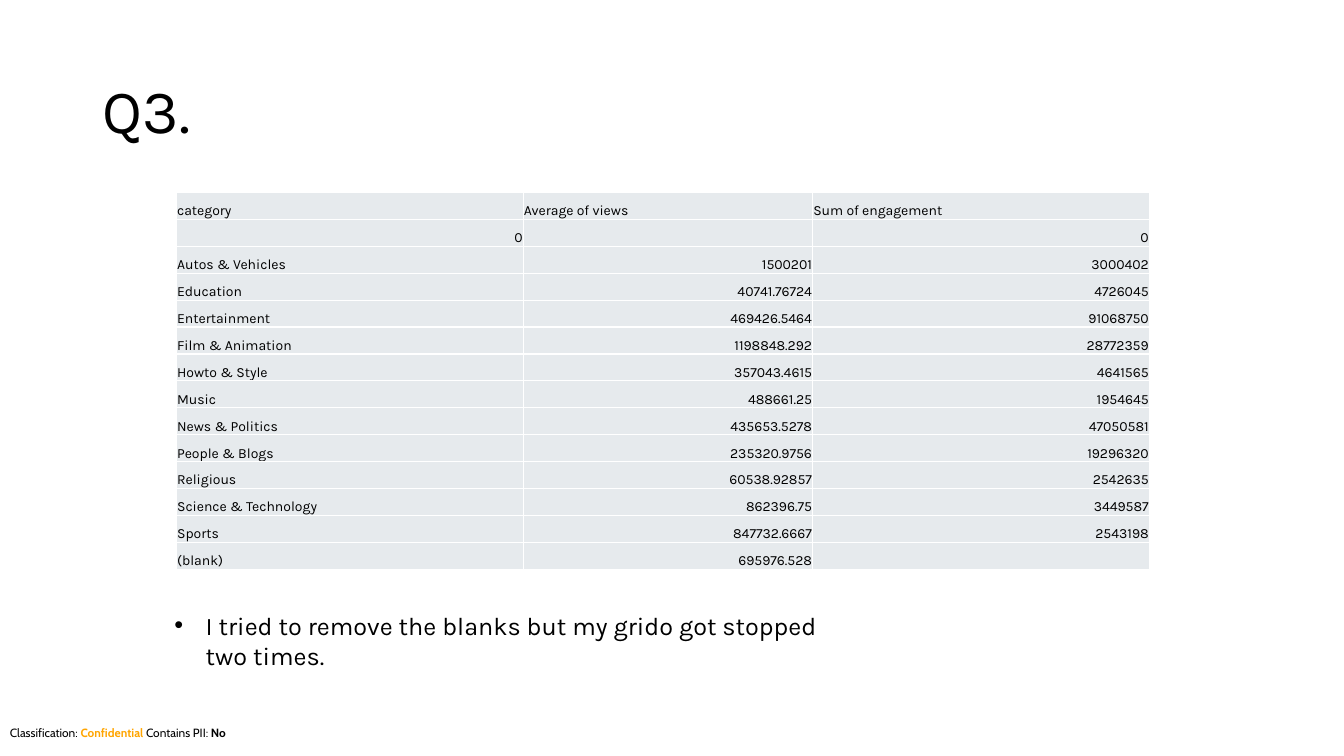
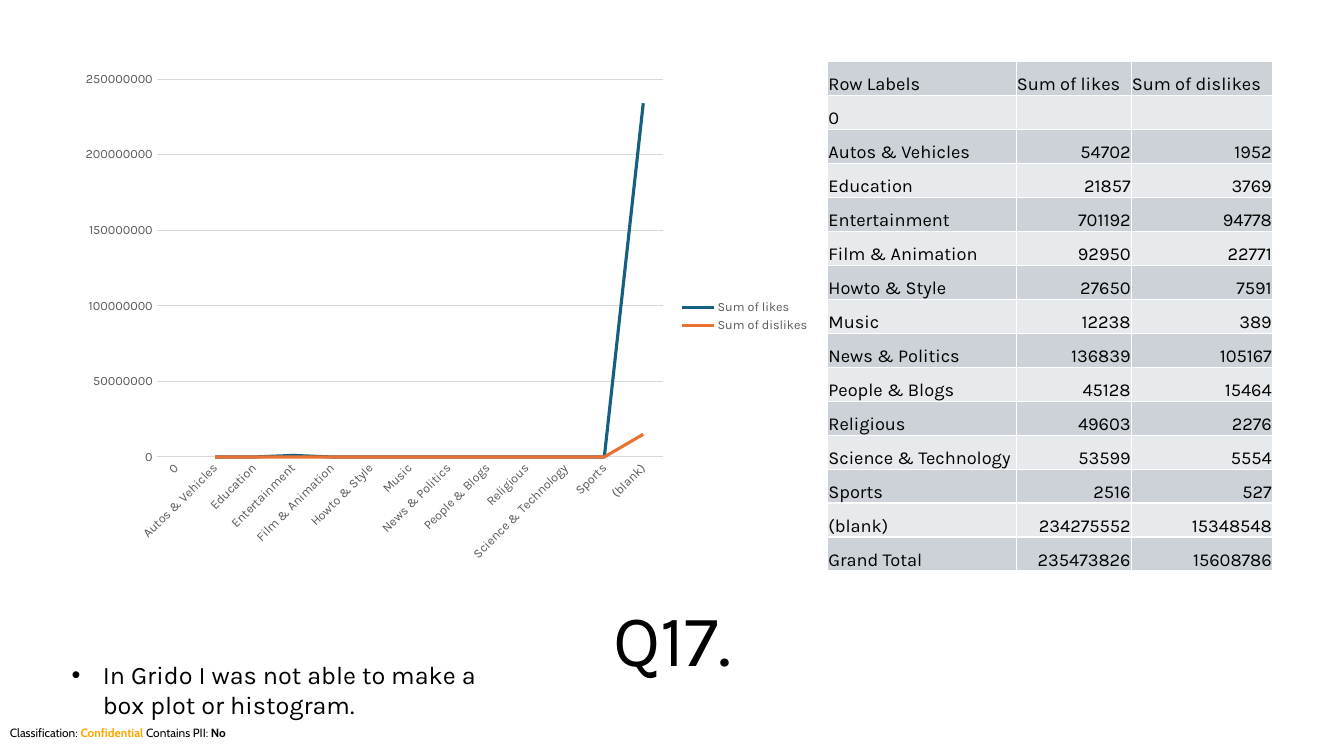
import pptx
import pptx.chart.data
import pptx.dml.color
import pptx.enum.chart
import pptx.enum.text
import pptx.oxml.ns
import pptx.util
from lxml import etree

Inches, Pt = pptx.util.Inches, pptx.util.Pt
ALIGN = pptx.enum.text.PP_ALIGN
ANCHOR = pptx.enum.text.MSO_ANCHOR
FIT = pptx.enum.text.MSO_AUTO_SIZE
COLORS = {
    "ink": "000000", "alert": "FFA500", "white": "FFFFFF",
    "light": "E6EAED", "dark": "CCD2D8",
    "label": "595959", "grid": "D9D9D9",
    "likes": "156082", "hates": "E97132",
}
FONT, FOOT_FONT = "Karla", "Cabin"

# Blank cells are None; text goes left and numbers go right
VIEWS = [
    ("category", "Average of views", "Sum of engagement"),
    (0, None, 0),
    ("Autos & Vehicles", 1500201, 3000402),
    ("Education", 40741.76724, 4726045),
    ("Entertainment", 469426.5464, 91068750),
    ("Film & Animation", 1198848.292, 28772359),
    ("Howto & Style", 357043.4615, 4641565),
    ("Music", 488661.25, 1954645),
    ("News & Politics", 435653.5278, 47050581),
    ("People & Blogs", 235320.9756, 19296320),
    ("Religious", 60538.92857, 2542635),
    ("Science & Technology", 862396.75, 3449587),
    ("Sports", 847732.6667, 2543198),
    ("(blank)", 695976.528, None),
]
LIKES = [
    ("Row Labels", "Sum of likes", "Sum of dislikes"),
    ("0", None, None),
    ("Autos & Vehicles", 54702, 1952),
    ("Education", 21857, 3769),
    ("Entertainment", 701192, 94778),
    ("Film & Animation", 92950, 22771),
    ("Howto & Style", 27650, 7591),
    ("Music", 12238, 389),
    ("News & Politics", 136839, 105167),
    ("People & Blogs", 45128, 15464),
    ("Religious", 49603, 2276),
    ("Science & Technology", 53599, 5554),
    ("Sports", 2516, 527),
    ("(blank)", 234275552, 15348548),
    ("Grand Total", 235473826, 15608786),
]


def put(item, **values):
    for name, value in values.items():
        setattr(item, name, value)


def place(shape, box):
    names = ("left", "top", "width", "height")
    put(shape, **dict(zip(names, map(Inches, box))))


def tint(color, name):
    color.rgb = pptx.dml.color.RGBColor.from_string(COLORS[name])


def style(font, size, color="ink", name=FONT, bold=False):
    put(font, size=Pt(size), name=name, bold=bold)
    tint(font.color, color)


def write(para, text, size, **look):
    run = para.add_run()
    run.text = text
    style(run.font, size, **look)


def node(parent, tag, **attrs):
    return etree.SubElement(parent, pptx.oxml.ns.qn(tag), attrs)


# Classification footer
def add_foot(slide):
    box = slide.shapes.add_textbox(*map(Inches, (0, 7.15, 13.33, 0.24)))
    put(box.text_frame, word_wrap=True, auto_size=FIT.SHAPE_TO_FIT_TEXT)
    para = box.text_frame.paragraphs[0]
    parts = [
        ("Classification: ", "ink", False), ("Confidential", "alert", True),
        (" Contains PII: ", "ink", False), ("No", "ink", True),
    ]
    for text, color, bold in parts:
        write(para, text, 8.5, color=color, name=FOOT_FONT, bold=bold)


# New slide with the footer
def add_slide(deck):
    slide = deck.slides.add_slide(deck.slide_layouts[1])
    add_foot(slide)
    return slide


def add_title(slide, text, box, size, align=ALIGN.LEFT):
    title = slide.shapes.title
    place(title, box)
    put(title.text_frame, vertical_anchor=ANCHOR.MIDDLE, auto_size=FIT.NONE)
    para = title.text_frame.paragraphs[0]
    put(para, alignment=align, line_spacing=0.9)
    write(para, text, size)


# Bulleted remark in the body placeholder
def add_note(slide, text, box):
    body = slide.placeholders[1]
    place(body, box)
    put(body.text_frame, word_wrap=True, auto_size=FIT.SHAPE_TO_FIT_TEXT)
    para = body.text_frame.paragraphs[0]
    para.space_before = Pt(0)
    props = para._p.get_or_add_pPr()
    props.set("marL", str(Inches(0.31)))
    props.set("indent", str(Inches(-0.31)))
    node(props, "a:buFont", typeface="Arial")
    node(props, "a:buChar", char="•")
    write(para, text, 18)


def add_edges(cell):
    props = cell._tc.get_or_add_tcPr()
    for spot, side in enumerate(("a:lnL", "a:lnR", "a:lnT", "a:lnB")):
        line = etree.Element(pptx.oxml.ns.qn(side), w=str(Pt(1)))
        fill = node(line, "a:solidFill")
        node(fill, "a:srgbClr", val=COLORS["white"])
        props.insert(spot, line)


def fill_cell(cell, value, size, color):
    cell.fill.solid()
    tint(cell.fill.fore_color, color)
    add_edges(cell)
    edge = Pt(0.5)
    put(cell, vertical_anchor=ANCHOR.BOTTOM, margin_left=edge,
        margin_right=edge, margin_top=edge, margin_bottom=0)
    para = cell.text_frame.paragraphs[0]
    if value is None:
        node(para._p, "a:endParaRPr", sz=str(size * 100))
        return
    para.alignment = ALIGN.LEFT if isinstance(value, str) else ALIGN.RIGHT
    write(para, str(value), size)


def add_grid(slide, rows, spot, widths, height, size, bands):
    box = (*spot, sum(widths), height)
    frame = slide.shapes.add_table(len(rows), len(widths), *map(Inches, box))
    table = frame.table
    put(table, first_row=False, horz_banding=False)
    for column, width in zip(table.columns, widths):
        column.width = Inches(width)
    for r, row in enumerate(rows):
        table.rows[r].height = Inches(height / len(rows))
        for c, value in enumerate(row):
            fill_cell(table.cell(r, c), value, size, bands[r % len(bands)])


def draw_line(line, color, width):
    tint(line.color, color)
    line.width = Pt(width)


# Values to the nearest million, as fine as the chart can be read
def trim(value):
    return None if value is None else round(value, -6)


# Line chart of the table without its total row
def add_lines(slide, rows, box, colors):
    head, *body = rows[:-1]
    data = pptx.chart.data.CategoryChartData(number_format="General")
    data.categories = [row[0] for row in body]
    for c, name in enumerate(head[1:], 1):
        data.add_series(name, [trim(row[c]) for row in body])
    kind = pptx.enum.chart.XL_CHART_TYPE.LINE
    chart = slide.shapes.add_chart(kind, *map(Inches, box), data).chart
    put(chart, has_title=False, has_legend=True)
    style(chart.font, 10)
    put(chart.legend, include_in_layout=False,
        position=pptx.enum.chart.XL_LEGEND_POSITION.RIGHT)
    style(chart.legend.font, 9, "label")
    chart.plots[0].vary_by_categories = False
    for series, color in zip(chart.plots[0].series, colors):
        series.smooth = False
        draw_line(series.format.line, color, 2.25)
    # Axes
    none = pptx.enum.chart.XL_TICK_MARK.NONE
    base, scale = chart.category_axis, chart.value_axis
    for axis in (base, scale):
        put(axis, major_tick_mark=none, minor_tick_mark=none)
        style(axis.tick_labels.font, 9, "label")
    put(scale, minimum_scale=0, maximum_scale=250000000,
        major_unit=50000000, has_major_gridlines=True)
    draw_line(base.format.line, "grid", 0.75)
    draw_line(scale.major_gridlines.format.line, "grid", 0.75)
    scale.format.line.fill.background()
    chart.element.xpath("//c:catAx/c:txPr/a:bodyPr")[0].set("rot", "-2700000")


def main():
    deck = pptx.Presentation()
    put(deck, slide_width=Inches(13.33), slide_height=Inches(7.5))

    # Views and engagement
    slide = add_slide(deck)
    add_title(slide, "Q3.", (0.92, 0.4, 11.5, 1.45), 44)
    add_grid(slide, VIEWS, (1.75, 1.91), (3.44, 2.87, 3.34), 3.74, 10,
             ["light"])
    add_note(slide, "I tried to remove the blanks but my grido got stopped "
             "two times.", (1.63, 6, 6.8, 0.71))

    # Likes and dislikes
    slide = add_slide(deck)
    add_lines(slide, LIKES, (0.7, 0.61, 7.43, 5.06), ["likes", "hates"])
    add_grid(slide, LIKES, (8.21, 0.61), (1.87, 1.14, 1.4), 5.06, 13,
             ["dark", "light"])
    add_title(slide, "Q17.", (0.92, 5.86, 11.5, 1.03), 52, ALIGN.CENTER)
    add_note(slide, "In Grido I was not able to make a box plot or "
             "histogram.", (0.61, 6.49, 4.41, 0.71))

    deck.save("out.pptx")


if __name__ == "__main__":
    main()
